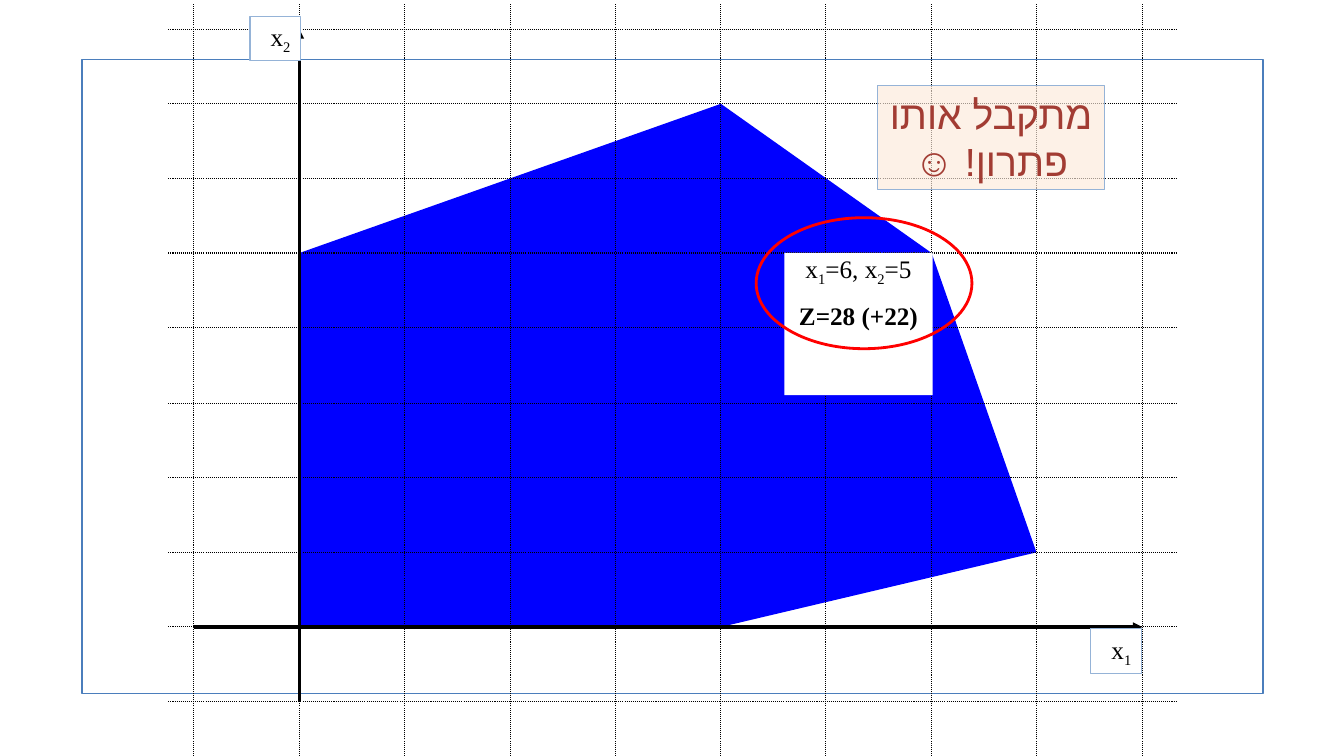
from lxml.etree import SubElement
from pptx import Presentation
from pptx.dml.color import RGBColor
from pptx.enum.dml import MSO_LINE
from pptx.enum.shapes import MSO_CONNECTOR, MSO_SHAPE
from pptx.enum.text import MSO_ANCHOR, PP_ALIGN
from pptx.oxml.ns import qn
from pptx.util import Pt

PX = 9144
WIDTH, HEIGHT = 1333, 750
BLACK, WHITE, BLUE, RED = "000000", "FFFFFF", "0000FF", "FF0000"
FRAME, BORDER, PEACH, BRICK = "4B7EBC", "95B3D7", "FDEADA", "A23C33"
COLUMNS = [round(192 + 941 * i / 9) for i in range(10)]
ROWS = [round(29 + 667 * j / 9) for j in range(10)]


def rgb(color):
    """Turn a hex string into a colour."""
    return RGBColor.from_string(color)


def at(x1, x2):
    """Return the place of a point of the plane on the slide."""
    return COLUMNS[x1 + 1], ROWS[8 - x2]


class Plot:
    """Hold the style and the current slide, and draw its elements."""

    def __init__(self, slide, font="Times New Roman", script_font="Arial"):
        """Remember the slide and the fonts."""
        self.shapes = slide.shapes
        self.font, self.script_font = font, script_font

    def paint(self, shape, fill=None, line=None, weight=0.75, opacity=None):
        """Set the fill and the outline of a shape."""
        shape.shadow.inherit = False
        if fill:
            shape.fill.solid()
            shape.fill.fore_color.rgb = rgb(fill)
        else:
            shape.fill.background()
        if opacity:
            tone = shape._element.spPr.find(qn("a:solidFill"))[0]
            SubElement(tone, qn("a:alpha")).set("val", str(opacity * 1000))
        if line:
            shape.line.color.rgb = rgb(line)
            shape.line.width = Pt(weight)
        else:
            shape.line.fill.background()
        return shape

    def box(self, place, kind=MSO_SHAPE.RECTANGLE, **style):
        """Add a preset shape."""
        shape = self.shapes.add_shape(kind, *(n * PX for n in place))
        return self.paint(shape, **style)

    def area(self, corners, fill):
        """Add a filled polygon."""
        outline = self.shapes.build_freeform(*corners[0], scale=PX)
        outline.add_line_segments(corners[1:], close=True)
        return self.paint(outline.convert_to_shape(), fill=fill)

    def line(self, start, end, weight=0.75, dotted=False, arrow=False):
        """Add a straight black line."""
        ends = (n * PX for n in (*start, *end))
        connector = self.shapes.add_connector(MSO_CONNECTOR.STRAIGHT, *ends)
        connector.line.color.rgb = rgb(BLACK)
        connector.line.width = Pt(weight)
        if dotted:
            connector.line.dash_style = MSO_LINE.ROUND_DOT
        properties = connector._element.spPr
        if arrow:
            SubElement(properties.find(qn("a:ln")), qn("a:tailEnd")).set("type", "triangle")
        SubElement(properties, qn("a:effectLst"))

    def label(self, shape, lines, size=18, color=BLACK, align=PP_ALIGN.CENTER, inset=5):
        """Fill a shape with lines whose every second part is a subscript."""
        frame = shape.text_frame
        frame.word_wrap = True
        frame.vertical_anchor = MSO_ANCHOR.TOP
        frame.margin_left = frame.margin_right = 10 * PX
        frame.margin_top = frame.margin_bottom = inset * PX
        for number, parts in enumerate(lines):
            paragraph = frame.add_paragraph() if number else frame.paragraphs[0]
            paragraph.alignment = align
            paragraph._p.get_or_add_pPr().set("rtl", "1")
            if number:
                paragraph.space_before = Pt(9)
            font = paragraph.font
            font.name, font.size = self.font, Pt(size)
            font.color.rgb = rgb(color)
            SubElement(font._element, qn("a:cs")).set("typeface", self.script_font)
            for index, part in enumerate(parts):
                run = paragraph.add_run()
                run.text = part
                if index % 2:
                    run._r.get_or_add_rPr().set("baseline", "-25000")
        return frame.paragraphs


def main():
    """Build and save the slide."""
    deck = Presentation()
    deck.slide_width, deck.slide_height = WIDTH * PX, HEIGHT * PX
    plot = Plot(deck.slides.add_slide(deck.slide_layouts[6]))

    plot.box((81, 59, 1172, 629), line=FRAME, weight=1.25)
    feasible = [(0, 0), (0, 5), (4, 7), (6, 5), (7, 1), (4, 0)]
    plot.area([at(*corner) for corner in feasible], BLUE)
    for x in COLUMNS:
        plot.line((x, HEIGHT), (x, 4), dotted=True)
    for y in ROWS:
        plot.line((167, y), (1167, y), dotted=True)
    plot.line(at(-1, 0), at(8, 0), weight=2.25, arrow=True)
    plot.line(at(0, -1), at(0, 8), weight=2.25, arrow=True)

    optimum = plot.box((778, 251, 147, 141), fill=WHITE)
    solution = [["x", "1", "=6, x", "2", "=5"], ["Z=28 (+22)"]]
    plot.label(optimum, solution, inset=0)[1].font.bold = True
    for index, left, top in (("2", 248, 16), ("1", 1082, 624)):
        axis_name = plot.box((left, top, 50, 44), fill=WHITE, line=BORDER)
        plot.label(axis_name, [["x", index]], align=PP_ALIGN.RIGHT)
    plot.box((750, 216, 214, 130), MSO_SHAPE.OVAL, line=RED, weight=2)

    remark = plot.box((870, 85, 226, 103), fill=PEACH, line=BORDER, opacity=64)
    sentence = plot.label(remark, [["מתקבל אותו פתרון! "]], size=28, color=BRICK)[0]
    smile = sentence.add_run()
    smile.text = "☺"
    smile.font.name = plot.script_font

    deck.save("out.pptx")


if __name__ == "__main__":
    main()
